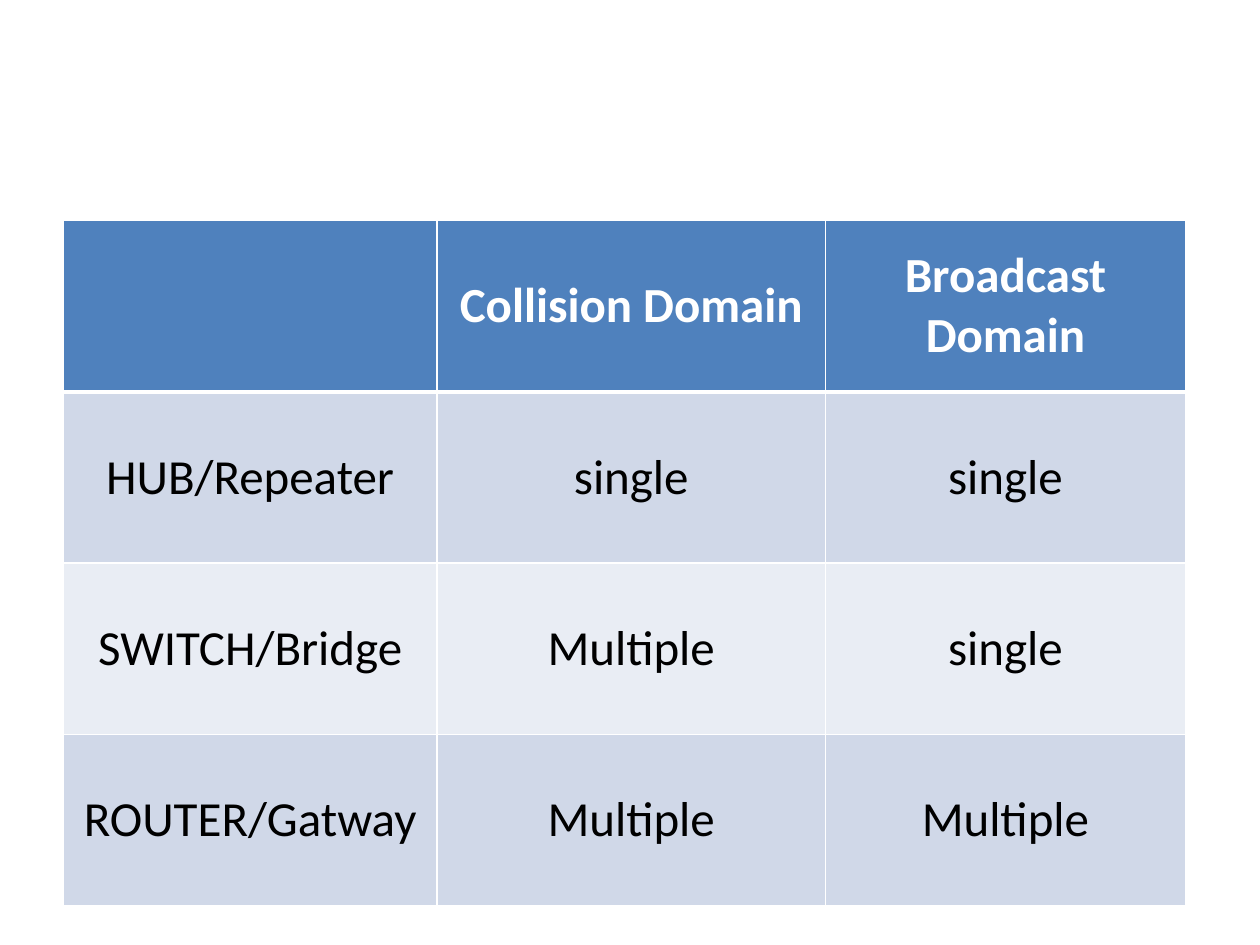
from lxml.etree import SubElement
from pptx import Presentation
from pptx.dml.color import RGBColor
from pptx.enum.text import MSO_ANCHOR as Anchor, PP_ALIGN as Align
from pptx.oxml.ns import qn
from pptx.util import Inches, Pt

WHITE = RGBColor(0xFF, 0xFF, 0xFF)
BLACK = RGBColor(0x00, 0x00, 0x00)
HEADER_BLUE = RGBColor(0x4F, 0x81, 0xBD)
BANDS = (RGBColor(0xD0, 0xD8, 0xE8), RGBColor(0xE9, 0xED, 0xF4))

COLUMN_WIDTHS = (2.97, 3.08, 2.86)
ROW_HEIGHT = 1.36
DOMAINS = (
    ("", "Collision Domain", "Broadcast Domain"),
    ("HUB/Repeater", "single", "single"),
    ("SWITCH/Bridge", "Multiple", "single"),
    ("ROUTER/Gatway", "Multiple", "Multiple"),
)


def set_borders(cell, top, bottom):
    properties = cell._tc.get_or_add_tcPr()
    for side, width in (("L", 1), ("R", 1), ("T", top), ("B", bottom)):
        border = SubElement(properties, qn(f"a:ln{side}"), w=str(Pt(width)))
        solid = SubElement(border, qn("a:solidFill"))
        SubElement(solid, qn("a:srgbClr"), val=str(WHITE))


def style_cell(cell, wording, row):
    is_header = row == 0
    set_borders(cell, top=3 if row == 1 else 1, bottom=3 if is_header else 1)
    cell.fill.solid()
    cell.fill.fore_color.rgb = HEADER_BLUE if is_header else BANDS[(row - 1) % 2]
    cell.vertical_anchor = Anchor.MIDDLE
    cell.text = wording
    paragraph = cell.text_frame.paragraphs[0]
    paragraph.alignment = Align.CENTER
    font = paragraph.font
    font.name = "Calibri"
    font.size = Pt(28)
    font.bold = is_header
    font.color.rgb = WHITE if is_header else BLACK


def add_domain_table(slide):
    table = slide.shapes.add_table(
        len(DOMAINS), len(COLUMN_WIDTHS), Inches(0.5), Inches(1.75),
        Inches(sum(COLUMN_WIDTHS)), Inches(ROW_HEIGHT * len(DOMAINS)),
    ).table
    for column, width in zip(table.columns, COLUMN_WIDTHS):
        column.width = Inches(width)
    for row, wordings in enumerate(DOMAINS):
        table.rows[row].height = Inches(ROW_HEIGHT)
        for column, wording in enumerate(wordings):
            style_cell(table.cell(row, column), wording, row)


def main():
    deck = Presentation()
    deck.slide_width, deck.slide_height = Inches(10), Inches(7.5)
    slide = deck.slides.add_slide(deck.slide_layouts[6])
    add_domain_table(slide)
    deck.save("out.pptx")


if __name__ == "__main__":
    main()
